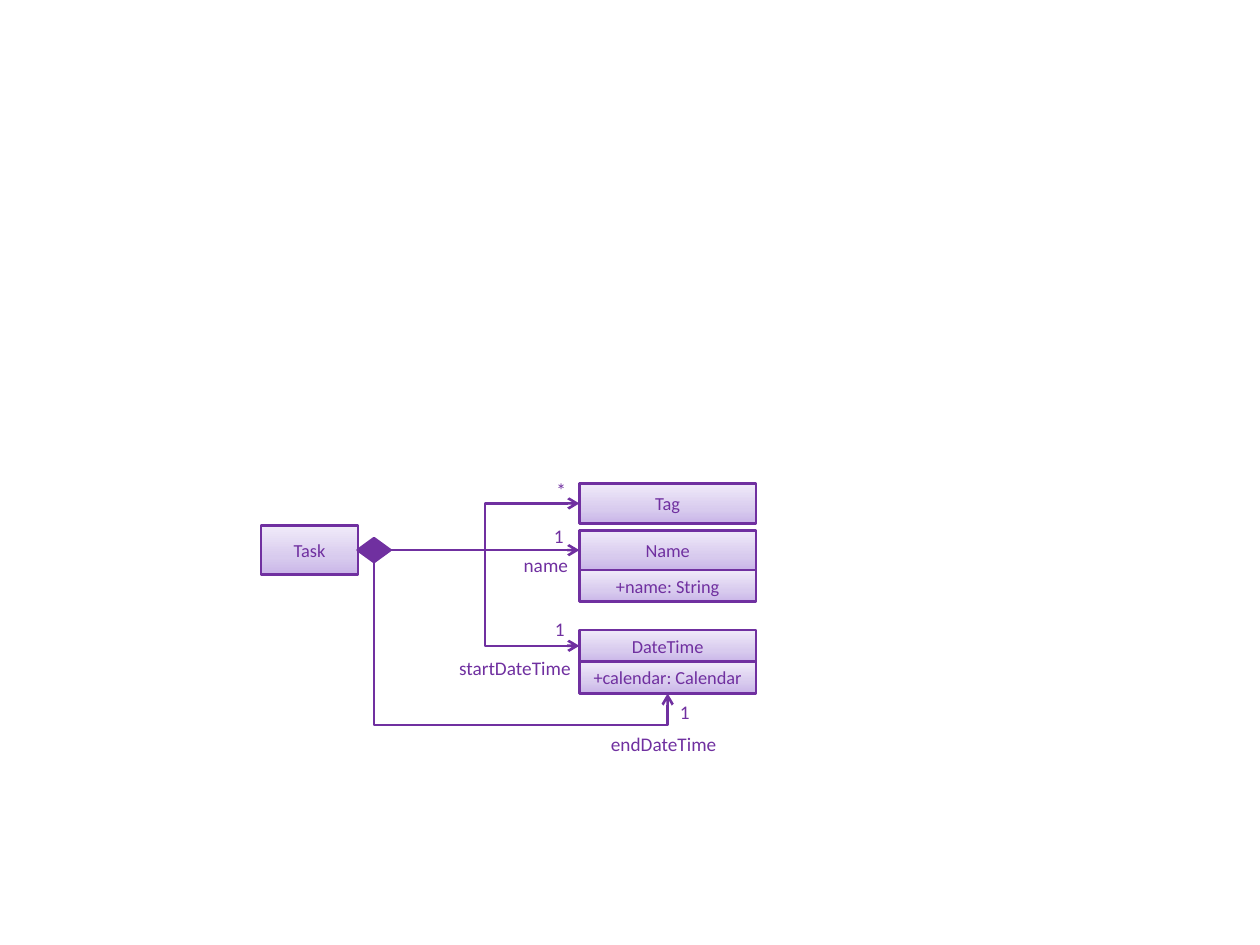
"""Build a class diagram of a task and the parts it is composed of."""
from copy import deepcopy
from dataclasses import dataclass

from lxml.etree import SubElement
from pptx import Presentation
from pptx.dml.color import RGBColor
from pptx.enum.shapes import MSO_CONNECTOR, MSO_SHAPE
from pptx.enum.text import MSO_ANCHOR, PP_ALIGN
from pptx.oxml.ns import qn
from pptx.shapes.autoshape import Shape
from pptx.shapes.connector import Connector
from pptx.util import Cm, Pt

PURPLE = RGBColor(0x70, 0x30, 0xA0)
GRADIENT = (
    (0, RGBColor(0xC9, 0xB5, 0xE8)),
    (0.35, RGBColor(0xD8, 0xCB, 0xEE)),
    (1, RGBColor(0xF0, 0xEA, 0xF9)),
)
LINE_WIDTH = Pt(1.5)
TOP, LEFT, BOTTOM, RIGHT = range(4)
PART_LEFT, PART_WIDTH = 11.68, 3.56
TALL, SHORT = 0.8, 0.64
MARK_WIDTH, MARK_HEIGHT = 0.53, 0.51
ROLE_WIDTH, ROLE_HEIGHT = 2.62, 0.53


@dataclass(frozen=True)
class Block:
    """A text and its frame in centimetres."""

    text: str
    left: float
    top: float
    width: float
    height: float

    def frame(self) -> tuple[Cm, Cm, Cm, Cm]:
        """Return the frame as lengths."""
        return Cm(self.left), Cm(self.top), Cm(self.width), Cm(self.height)


CLASSES = (
    Block("Task", 5.26, 10.6, 1.96, 0.98),
    Block("Tag", PART_LEFT, 9.75, PART_WIDTH, TALL),
    Block("Name", PART_LEFT, 10.69, PART_WIDTH, TALL),
    Block("+name: String", PART_LEFT, 10.69 + TALL, PART_WIDTH, SHORT),
    Block("DateTime", PART_LEFT, 12.7, PART_WIDTH, SHORT),
    Block("+calendar: Calendar", PART_LEFT, 12.7 + SHORT, PART_WIDTH, SHORT),
)
LABELS = (
    Block("*", 11.05, 9.65, MARK_WIDTH, MARK_HEIGHT),
    Block("1", 11.0, 10.57, MARK_WIDTH, MARK_HEIGHT),
    Block("1", 11.02, 12.45, MARK_WIDTH, MARK_HEIGHT),
    Block("1", 13.54, 14.12, MARK_WIDTH, MARK_HEIGHT),
    Block("name", 10.41, 11.15, 1.19, MARK_HEIGHT),
    Block("startDateTime", 9.07, 13.23, ROLE_WIDTH, ROLE_HEIGHT),
    Block("endDateTime", 12.07, 14.76, ROLE_WIDTH, ROLE_HEIGHT),
)
DIAMOND = Block("", 7.21, 10.85, 0.66, 0.48)


def write(box: Shape, text: str, size: float) -> None:
    """Put one centred purple line of text into a box."""
    para = box.text_frame.paragraphs[0]
    para.alignment = PP_ALIGN.CENTER
    span = para.add_run()
    span.text = text
    for name, value in {"name": "Calibri", "size": Pt(size)}.items():
        setattr(span.font, name, value)
    span.font.color.rgb = PURPLE


def outline(item: Shape | Connector) -> None:
    """Give a shape or connector the diagram's line."""
    item.line.color.rgb = PURPLE
    item.line.width = LINE_WIDTH


def add_class(page, block: Block) -> Shape:
    """Draw a class compartment with a gradient fill."""
    box = page.shapes.add_shape(MSO_SHAPE.RECTANGLE, *block.frame())
    box.shadow.inherit = False
    box.fill.gradient()
    box.fill.gradient_angle = 90
    stops = box._element.spPr.find(qn("a:gradFill")).find(qn("a:gsLst"))
    stops.insert(1, deepcopy(stops[0]))
    for stop, (position, color) in zip(box.fill.gradient_stops, GRADIENT):
        stop.position = position
        stop.color.rgb = color
    outline(box)
    box.text_frame.vertical_anchor = MSO_ANCHOR.MIDDLE
    write(box, block.text, 10.5)
    return box


def add_label(page, block: Block) -> None:
    """Draw a role name or multiplicity without margins."""
    box = page.shapes.add_textbox(*block.frame())
    layout = {"word_wrap": True}
    layout |= {f"margin_{side}": 0 for side in ("left", "top", "right", "bottom")}
    for name, value in layout.items():
        setattr(box.text_frame, name, value)
    write(box, block.text, 11)


def add_diamond(page) -> Shape:
    """Draw the composition diamond."""
    diamond = page.shapes.add_shape(MSO_SHAPE.FLOWCHART_DECISION, *DIAMOND.frame())
    diamond.shadow.inherit = False
    diamond.fill.solid()
    diamond.fill.fore_color.rgb = PURPLE
    outline(diamond)
    return diamond


def add_arrow(page, source: Shape, start: int, target: Shape, end: int) -> Connector:
    """Join two shapes with an elbow arrow."""
    arrow = page.shapes.add_connector(MSO_CONNECTOR.ELBOW, 0, 0, 0, 0)
    arrow.begin_connect(source, start)
    arrow.end_connect(target, end)
    outline(arrow)
    SubElement(arrow.line._get_or_add_ln(), qn("a:tailEnd"), type="arrow")
    SubElement(arrow._element.spPr, qn("a:effectLst"))
    return arrow


def route_below(arrow: Connector, overshoot: float) -> None:
    """Turn an elbow so that it leaves and arrives from below."""
    left, top, across, down = arrow.left, arrow.top, arrow.width, arrow.height
    frame = {
        "left": left + (across - down) // 2,
        "top": top + (down - across) // 2,
        "width": down,
        "height": across,
    }
    for name, value in frame.items():
        setattr(arrow, name, value)
    properties = arrow._element.spPr
    transform = properties.find(qn("a:xfrm"))
    for name, value in {"rot": "16200000", "flipH": "1"}.items():
        transform.set(name, value)
    guides = properties.find(qn("a:prstGeom")).find(qn("a:avLst"))
    formula = f"val {round(overshoot * 100000)}"
    SubElement(guides, qn("a:gd"), name="adj1", fmla=formula)


def main() -> None:
    """Build and save the deck."""
    deck = Presentation()
    deck.slide_width, deck.slide_height = Cm(25.4), Cm(19.05)
    page = deck.slides.add_slide(deck.slide_layouts[6])
    boxes = {block.text: add_class(page, block) for block in CLASSES}
    diamond = add_diamond(page)
    for name in ("Tag", "Name", "DateTime"):
        add_arrow(page, diamond, RIGHT, boxes[name], LEFT)
    calendar = boxes["+calendar: Calendar"]
    route_below(add_arrow(page, diamond, BOTTOM, calendar, BOTTOM), 1.24)
    for block in LABELS:
        add_label(page, block)
    deck.save("out.pptx")


main()
